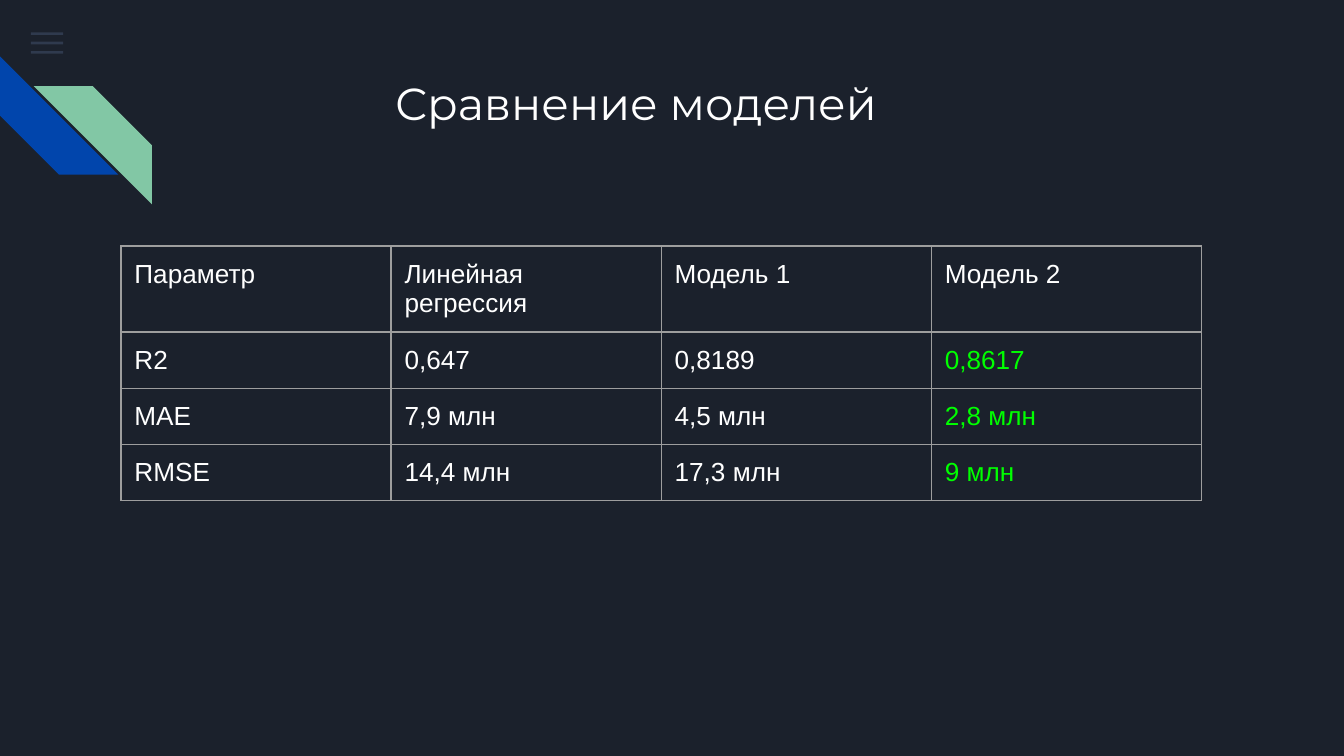
from lxml import etree
from pptx import Presentation
from pptx import util as u
from pptx.dml.color import RGBColor
from pptx.enum import shapes, text
from pptx.oxml.ns import qn

# Content
TITLE = "Сравнение моделей"
METRICS = [
    ("Параметр", "Линейная регрессия", "Модель 1", "Модель 2"),
    ("R2", "0,647", "0,8189", "0,8617"),
    ("MAE", "7,9 млн", "4,5 млн", "2,8 млн"),
    ("RMSE", "14,4 млн", "17,3 млн", "9 млн"),
]
BACKGROUND, WHITE, BEST, GRID = "1B212C", "FFFFFF", "00FF00", "9E9E9E"
MENU, BLUE, GREEN = "55688B", "0145AC", "82C7A5"

# Layout, in inches; the slide is 16:9
WIDTH = 10
HEIGHT = WIDTH * 9 / 16
COLUMN = 2.01
HEADER_ROW, BODY_ROW = 0.64, 0.41
INSET = 0.1
STRIPE = 0.88
STRIPES = [(0, 0.42, 270, BLUE), (0.25, 0.64, 90, GREEN)]


def color(hex_value):
    return RGBColor.from_string(hex_value)


def add_block(kind, left, top, width, height, fill):
    block = slide.shapes.add_shape(
        kind, *(u.Inches(v) for v in (left, top, width, height)))
    block.shadow.inherit = False
    block.fill.solid()
    block.fill.fore_color.rgb = color(fill)
    block.line.fill.background()
    return block


def set_insets(target):
    target.margin_left = target.margin_right = u.Inches(INSET)
    target.margin_top = target.margin_bottom = u.Inches(INSET)


def set_font(paragraph, name, size, hex_value):
    paragraph.font.name = name
    paragraph.font.size = u.Pt(size)
    paragraph.font.color.rgb = color(hex_value)


def add_borders(cell):
    properties = cell._tc.get_or_add_tcPr()
    for position, side in enumerate(("a:lnL", "a:lnR", "a:lnT", "a:lnB")):
        line = etree.Element(qn(side), w=str(u.Pt(0.75)))
        fill = etree.SubElement(line, qn("a:solidFill"))
        etree.SubElement(fill, qn("a:srgbClr"), val=GRID)
        properties.insert(position, line)


deck = Presentation()
deck.slide_width, deck.slide_height = u.Inches(WIDTH), u.Inches(HEIGHT)
slide = deck.slides.add_slide(deck.slide_layouts[5])
slide.background.fill.solid()
slide.background.fill.fore_color.rgb = color(BACKGROUND)

# Menu icon: three translucent bars
for row in range(3):
    bar = add_block(shapes.MSO_SHAPE.RECTANGLE,
                    0.23, 0.24 + 0.07 * row, 0.24, 0.02, MENU)
    bar_color = bar._element.spPr.find(".//" + qn("a:srgbClr"))
    etree.SubElement(bar_color, qn("a:alpha"), val="36000")

# Corner stripes
for left, top, rotation, fill in STRIPES:
    stripe = add_block(shapes.MSO_SHAPE.DIAGONAL_STRIPE,
                       left, top, STRIPE, STRIPE, fill)
    stripe.rotation = rotation

# Title
title = slide.shapes.title
title.left, title.top = u.Inches(2.84), u.Inches(0.46)
title.width, title.height = u.Inches(4.15), u.Inches(1.63)
title.text = TITLE
frame = title.text_frame
frame.word_wrap = True
frame.auto_size = text.MSO_AUTO_SIZE.NONE
frame.vertical_anchor = text.MSO_ANCHOR.TOP
set_insets(frame)
frame.paragraphs[0].alignment = text.PP_ALIGN.LEFT
set_font(frame.paragraphs[0], "Montserrat", 24, WHITE)

# Comparison table, with the best model's values highlighted
row_heights = [HEADER_ROW] + [BODY_ROW] * (len(METRICS) - 1)
column_count = len(METRICS[0])
comparison = slide.shapes.add_table(
    len(METRICS), column_count, u.Inches(0.9), u.Inches(1.83),
    u.Inches(COLUMN * column_count), u.Inches(sum(row_heights))).table
comparison.first_row = comparison.horz_banding = False
for column in comparison.columns:
    column.width = u.Inches(COLUMN)
for r, values in enumerate(METRICS):
    comparison.rows[r].height = u.Inches(row_heights[r])
    for c, value in enumerate(values):
        cell = comparison.cell(r, c)
        cell.text = value
        cell.fill.background()
        set_insets(cell)
        add_borders(cell)
        is_best = r > 0 and c == column_count - 1
        set_font(cell.text_frame.paragraphs[0], "Arial", 14,
                 BEST if is_best else WHITE)

deck.save("out.pptx")
